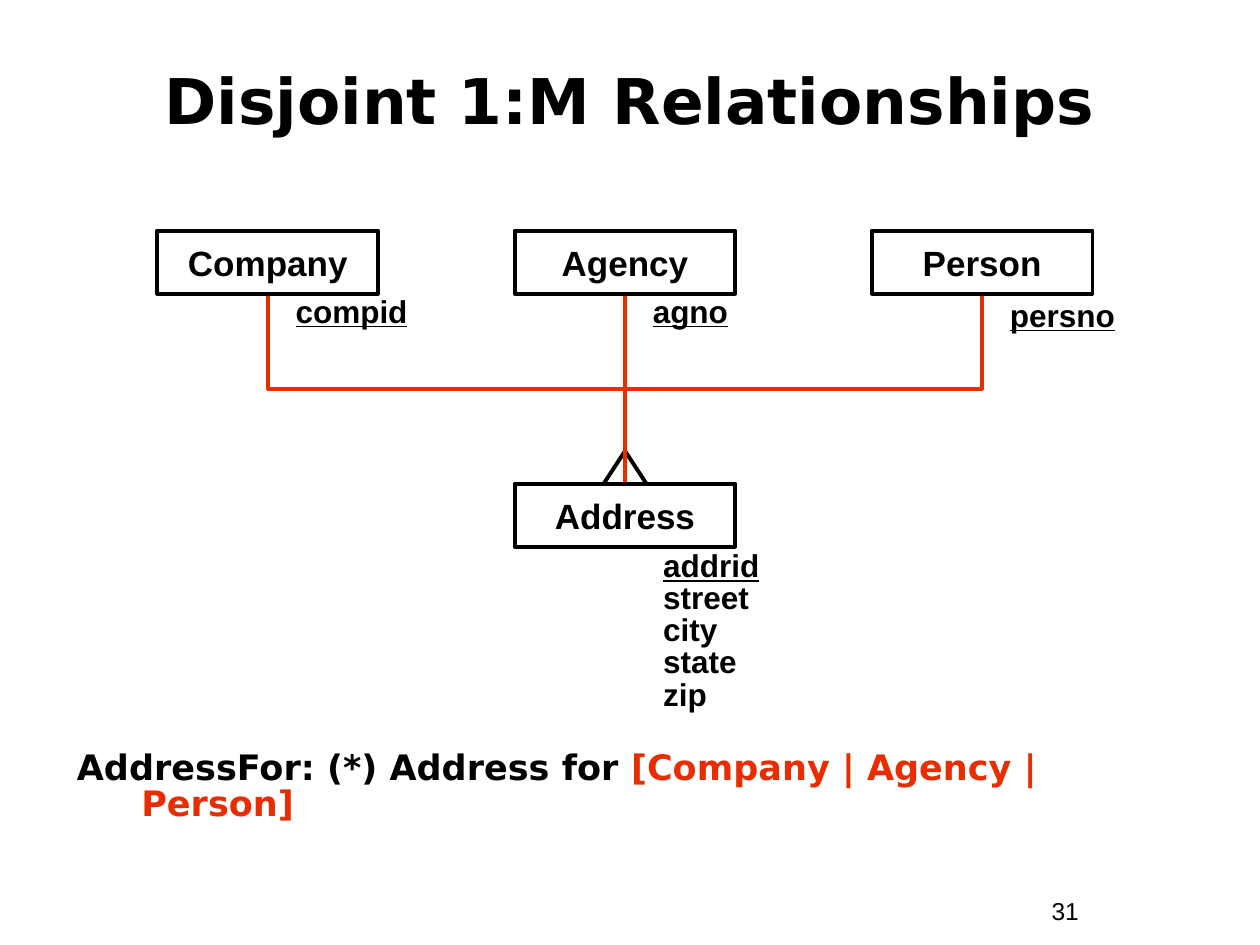
from pptx import Presentation
from pptx.dml.color import RGBColor
from pptx.enum.shapes import MSO_CONNECTOR as CONN, MSO_SHAPE as SHAPE
from pptx.enum.text import MSO_ANCHOR as ANCHOR, MSO_AUTO_SIZE as AUTO, PP_ALIGN as ALIGN
from pptx.oxml.ns import qn
from pptx.util import Cm, Pt
from lxml import etree

BLACK = RGBColor(0x00, 0x00, 0x00)
RED = RGBColor(0xEA, 0x2D, 0x00)

TITLE = "Disjoint 1:M Relationships"
OWNERS = [("Company", "compid", 5.84), ("Agency", "agno", 5.84), ("Person", "persno", 5.92)]
CHILD = "Address"
ATTRIBUTES = ["addrid", "street", "city", "state", "zip"]
RULE = [("AddressFor: (*) Address for ", BLACK), ("[Company | Agency | Person]", RED)]
PAGE = "31"

BOX_W, BOX_H = 4.45, 1.27
MID_X, PITCH = 12.6, 7.2
OWNER_Y, CHILD_Y = 4.65, 9.75
OWNER_BOTTOM = OWNER_Y + BOX_H
FOOT_W, FOOT_H = 0.43, 0.66
LINE_W = Pt(2.25)


def write(p, text, size=20, font="Arial", bold=True, underline=False, color=BLACK,
          align=ALIGN.LEFT, spacing=None):
    p.alignment = align
    if spacing:
        p.line_spacing = spacing
    r = p.add_run()
    r.text = text
    f = r.font
    f.size, f.name, f.bold, f.underline = Pt(size), font, bold, underline
    f.color.rgb = color


def add_text(slide, x, y, w, h):
    tf = slide.shapes.add_textbox(Cm(x), Cm(y), Cm(w), Cm(h)).text_frame
    tf.word_wrap = True
    return tf


def add_line(slide, x1, y1, x2, y2, color, kind=CONN.STRAIGHT):
    line = slide.shapes.add_connector(kind, Cm(x1), Cm(y1), Cm(x2), Cm(y2))
    line.line.color.rgb = color
    line.line.width = LINE_W
    etree.SubElement(line._element.spPr, qn("a:effectLst"))
    return line


def add_bend(slide, side):
    cx, cy = MID_X + side * PITCH / 2, (OWNER_BOTTOM + CHILD_Y) / 2
    dx, dy = side * (CHILD_Y - OWNER_BOTTOM) / 2, PITCH / 2
    bend = add_line(slide, cx + dx, cy + dy, cx - dx, cy - dy, RED, CONN.ELBOW)
    bend.rotation = 0
    bend._element.spPr.find(qn("a:xfrm")).set("rot", str(side * 90 % 360 * 60000))


def add_entity(slide, name, center, y):
    sp = slide.shapes.add_shape(SHAPE.RECTANGLE, Cm(center - BOX_W / 2), Cm(y), Cm(BOX_W), Cm(BOX_H))
    sp.shadow.inherit = False
    sp.fill.background()
    sp.line.color.rgb = BLACK
    sp.line.width = LINE_W
    tf = sp.text_frame
    tf.word_wrap = False
    tf.vertical_anchor = ANCHOR.MIDDLE
    write(tf.paragraphs[0], name, align=ALIGN.CENTER)
    return sp


def main():
    prs = Presentation()
    prs.slide_width, prs.slide_height = Cm(25.4), Cm(19.05)
    slide = prs.slides.add_slide(prs.slide_layouts[5])

    title = slide.shapes.title
    title.left, title.top, title.width, title.height = Cm(0.84), Cm(0.84), Cm(23.7), Cm(2.34)
    tf = title.text_frame
    tf.auto_size = AUTO.NONE
    tf.vertical_anchor = ANCHOR.MIDDLE
    write(tf.paragraphs[0], TITLE, size=36, font="DejaVu Sans", align=ALIGN.CENTER)

    for side in (1, -1):
        add_line(slide, MID_X, CHILD_Y - FOOT_H, MID_X + side * FOOT_W, CHILD_Y, BLACK)
    spine = add_line(slide, MID_X, OWNER_BOTTOM, MID_X, CHILD_Y, RED)
    for side in (1, -1):
        add_bend(slide, side)

    boxes = {}
    for i, (name, key, key_y) in enumerate(OWNERS):
        center = MID_X + (i - 1) * PITCH
        boxes[name] = add_entity(slide, name, center, OWNER_Y)
        tf = add_text(slide, center + 0.31, key_y, 4.24, 0.94)
        write(tf.paragraphs[0], key, size=18, underline=True, spacing=0.9)
    boxes[CHILD] = add_entity(slide, CHILD, MID_X, CHILD_Y)
    spine.begin_connect(boxes["Agency"], 2)
    spine.end_connect(boxes[CHILD], 0)

    tf = add_text(slide, 13.12, 11, 2.97, 3.5)
    for i, name in enumerate(ATTRIBUTES):
        p = tf.add_paragraph() if i else tf.paragraphs[0]
        write(p, name, size=18, underline=i == 0, spacing=0.85)

    p = add_text(slide, 1.3, 15.04, 23.04, 1).paragraphs[0]
    pPr = p._p.get_or_add_pPr()
    pPr.set("marL", str(Cm(1.3)))
    pPr.set("indent", str(-Cm(1.3)))
    for text, color in RULE:
        write(p, text, font="DejaVu Sans", color=color, spacing=0.85)

    p = add_text(slide, 20.95, 17.93, 2.34, 0.86).paragraphs[0]
    write(p, PAGE, size=14, bold=False)

    prs.save("out.pptx")


if __name__ == "__main__":
    main()
